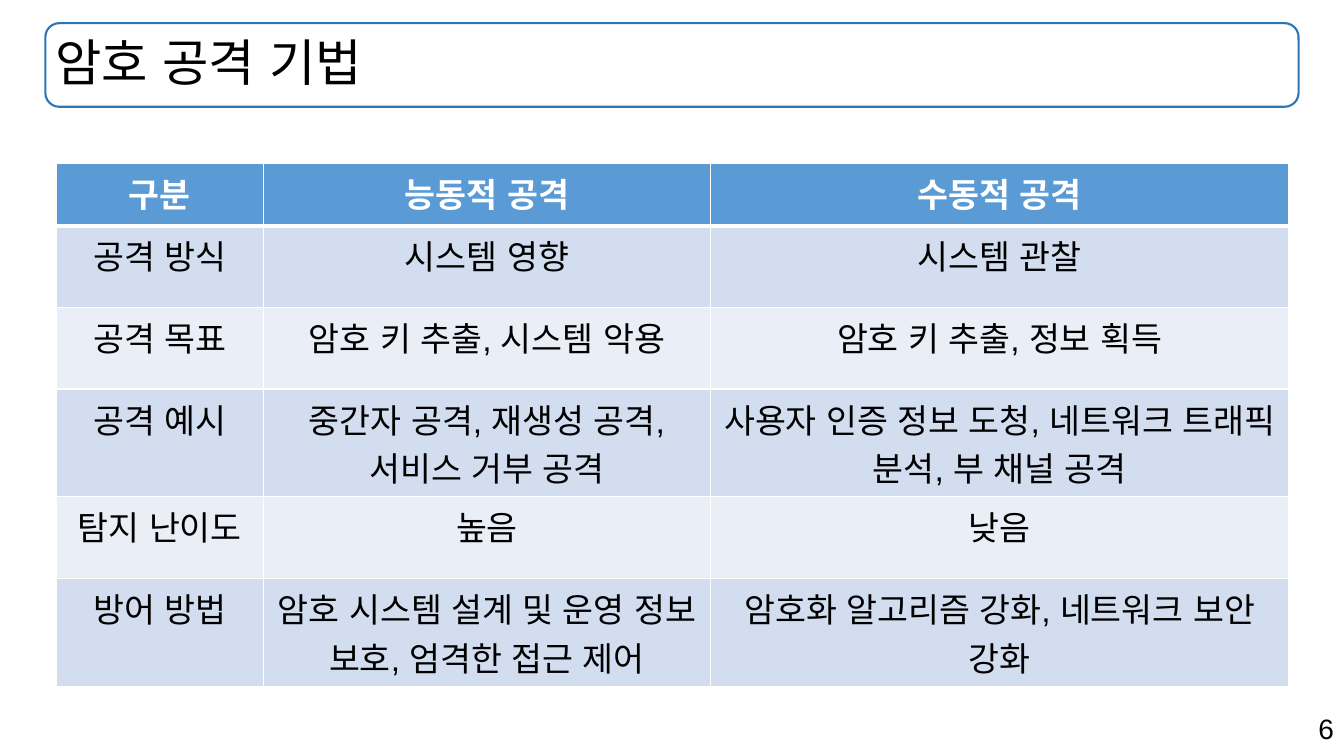
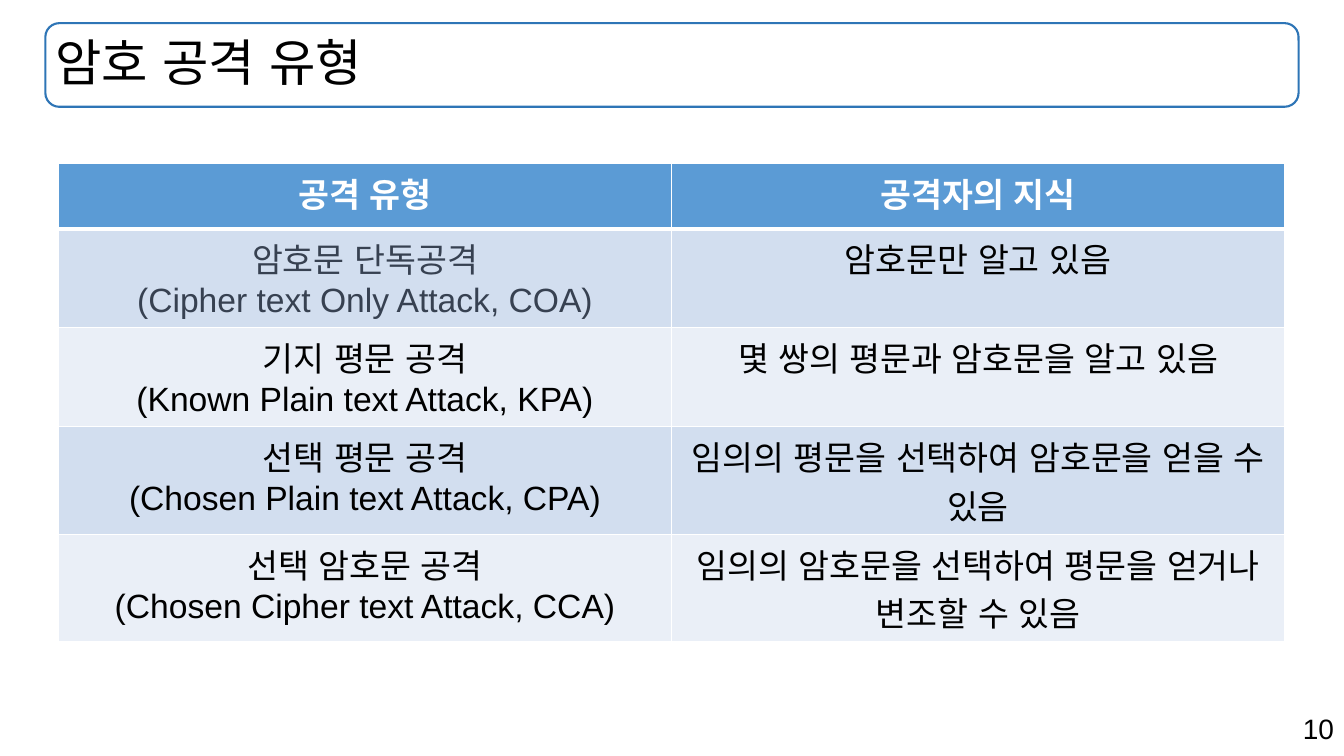
"""Build two slides that compare attacks on cryptography in tables."""
from dataclasses import dataclass

from lxml.etree import SubElement
from pptx import Presentation
from pptx.dml.color import RGBColor
from pptx.enum.lang import MSO_LANGUAGE_ID as Language
from pptx.enum.shapes import MSO_SHAPE as Shape
from pptx.enum.text import MSO_ANCHOR as Anchor, PP_ALIGN as Align
from pptx.oxml.ns import qn
from pptx.slide import Slide
from pptx.table import _Cell as Cell
from pptx.text.text import TextFrame
from pptx.util import Inches, Pt

COLORS = {
    "text": "000000",
    "muted": "374151",
    "white": "FFFFFF",
    "outline": "2E75B6",
    "header": "5B9BD5",
    "odd_row": "D2DEEF",
    "even_row": "EAEFF7",
}
FONT = "Arial"
TABLE_TOP = 1.62
TALL_ROW = 1.07
BORDER_SIDES = ("lnL", "lnR", "lnT", "lnB")


@dataclass(frozen=True)
class TextStyle:
    size: int
    color: str = "text"
    bold: bool = False
    align: Align = Align.LEFT
    line_spacing: float = 1.0


TITLE = TextStyle(36, line_spacing=0.9)
PAGE_NUMBER = TextStyle(20, align=Align.RIGHT)
HEADER = TextStyle(24, "white", True, Align.CENTER)
BODY = TextStyle(24, align=Align.CENTER)
MUTED_BODY = TextStyle(24, "muted", align=Align.CENTER)


@dataclass(frozen=True)
class TableSlide:
    title: str
    page: int
    left: float
    column_widths: tuple[float, ...]
    row_heights: tuple[float, ...]
    rows: tuple[tuple[str, ...], ...]
    muted_cells: tuple[tuple[int, int], ...] = ()


SLIDES = (
    TableSlide(
        "암호 공격 기법", 6, 0.56, (2.05, 4.44, 5.73),
        (0.62, 0.81, 0.81, TALL_ROW, 0.81, TALL_ROW),
        (
            ("구분", "능동적 공격", "수동적 공격"),
            ("공격 방식", "시스템 영향", "시스템 관찰"),
            ("공격 목표", "암호 키 추출, 시스템 악용", "암호 키 추출, 정보 획득"),
            ("공격 예시", "중간자 공격, 재생성 공격, 서비스 거부 공격",
             "사용자 인증 정보 도청, 네트워크 트래픽 분석, 부 채널 공격"),
            ("탐지 난이도", "높음", "낮음"),
            ("방어 방법", "암호 시스템 설계 및 운영 정보 보호, 엄격한 접근 제어",
             "암호화 알고리즘 강화, 네트워크 보안 강화"),
        ),
    ),
    TableSlide(
        "암호 공격 유형", 10, 0.58, (6.08, 6.08),
        (0.65, 0.98, 0.98, TALL_ROW, TALL_ROW),
        (
            ("공격 유형", "공격자의 지식"),
            ("암호문 단독공격\n(Cipher text Only Attack, COA)", "암호문만 알고 있음"),
            ("기지 평문 공격\n(Known Plain text Attack, KPA)",
             "몇 쌍의 평문과 암호문을 알고 있음"),
            ("선택 평문 공격\n(Chosen Plain text Attack, CPA)",
             "임의의 평문을 선택하여 암호문을 얻을 수 있음"),
            ("선택 암호문 공격\n(Chosen Cipher text Attack, CCA)",
             "임의의 암호문을 선택하여 평문을 얻거나 변조할 수 있음"),
        ),
        muted_cells=((1, 0),),
    ),
)


def rgb(name: str) -> RGBColor:
    return RGBColor.from_string(COLORS[name])


def write_text(frame: TextFrame, text: str, style: TextStyle) -> None:
    frame.text = text
    frame.word_wrap = True
    font_values = {
        "name": FONT,
        "size": Pt(style.size),
        "bold": style.bold,
        "language_id": Language.KOREAN,
    }
    for paragraph in frame.paragraphs:
        paragraph.alignment = style.align
        paragraph.line_spacing = style.line_spacing
        for run in paragraph.runs:
            for name, value in font_values.items():
                setattr(run.font, name, value)
            run.font.color.rgb = rgb(style.color)


def add_title(slide: Slide, title: str) -> None:
    shape = slide.shapes.add_shape(
        Shape.ROUNDED_RECTANGLE, Inches(0.45), Inches(0.23), Inches(12.43), Inches(0.83))
    shape.shadow.inherit = False
    shape.fill.background()
    shape.line.color.rgb = rgb("outline")
    shape.line.width = Pt(1.5)
    frame = shape.text_frame
    frame.margin_left = Inches(0.06)
    frame.vertical_anchor = Anchor.MIDDLE
    write_text(frame, title, TITLE)


def add_page_number(slide: Slide, page: int) -> None:
    box = slide.shapes.add_textbox(Inches(9.43), Inches(7.01), Inches(3.9), Inches(0.44))
    write_text(box.text_frame, str(page), PAGE_NUMBER)


def set_borders(cell: Cell, row: int) -> None:
    properties = cell._tc.get_or_add_tcPr()
    for side in BORDER_SIDES:
        under_header = (row, side) in ((0, "lnB"), (1, "lnT"))
        line = SubElement(properties, qn(f"a:{side}"), w=str(Pt(3 if under_header else 1)))
        fill = SubElement(line, qn("a:solidFill"))
        SubElement(fill, qn("a:srgbClr"), val=COLORS["white"])


def fill_cell(cell: Cell, row: int, text: str, style: TextStyle) -> None:
    set_borders(cell, row)
    cell.fill.solid()
    band = "header" if row == 0 else "odd_row" if row % 2 else "even_row"
    cell.fill.fore_color.rgb = rgb(band)
    write_text(cell.text_frame, text, style)


def add_table(slide: Slide, content: TableSlide) -> None:
    table = slide.shapes.add_table(
        len(content.rows), len(content.column_widths),
        Inches(content.left), Inches(TABLE_TOP),
        Inches(sum(content.column_widths)), Inches(sum(content.row_heights))).table
    for column, width in zip(table.columns, content.column_widths):
        column.width = Inches(width)
    for table_row, height in zip(table.rows, content.row_heights):
        table_row.height = Inches(height)
    for row, texts in enumerate(content.rows):
        for column, text in enumerate(texts):
            muted = (row, column) in content.muted_cells
            style = HEADER if row == 0 else MUTED_BODY if muted else BODY
            fill_cell(table.cell(row, column), row, text, style)


def main() -> None:
    presentation = Presentation()
    presentation.slide_width = Inches(13.33)
    presentation.slide_height = Inches(7.5)
    blank_layout = presentation.slide_layouts[6]
    for content in SLIDES:
        slide = presentation.slides.add_slide(blank_layout)
        add_page_number(slide, content.page)
        add_title(slide, content.title)
        add_table(slide, content)
    presentation.save("out.pptx")


if __name__ == "__main__":
    main()
